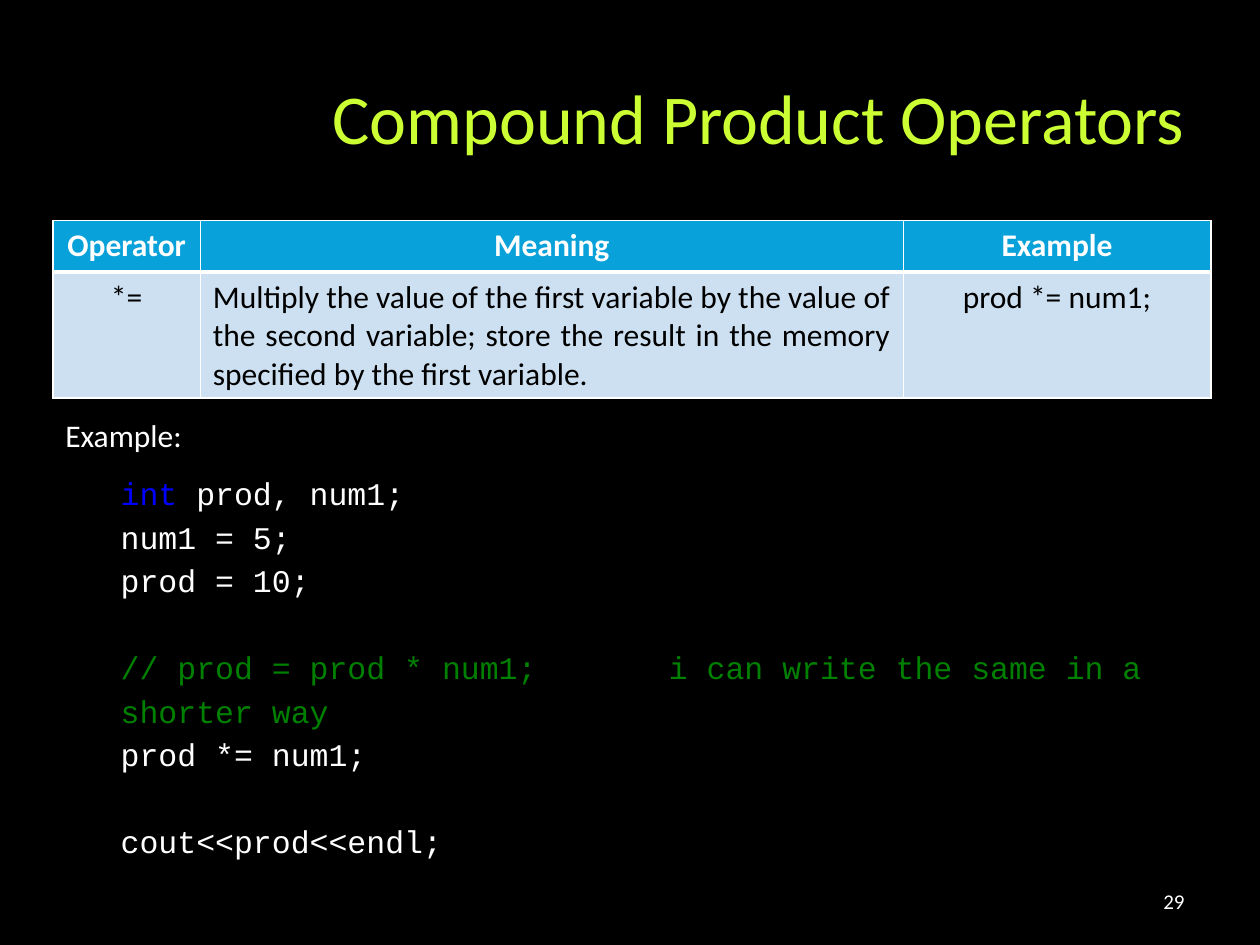
from pptx import Presentation
from pptx.dml.color import RGBColor
from pptx.enum.text import MSO_ANCHOR, PP_ALIGN
from pptx.oxml.ns import qn
from pptx.util import Inches, Pt
from lxml.etree import SubElement

COLORS = {
    "background": "000000", "title": "CCFF33", "white": "FFFFFF",
    "black": "000000", "header": "08A1D9", "row": "CCE0F1",
    "keyword": "0000FF", "comment": "008000",
}


class SlideBuilder:
    """Holds the style and the current slide."""

    body_font = "Calibri"
    code_font = "Courier New"

    def __init__(self, presentation):
        self.slide = presentation.slides.add_slide(presentation.slide_layouts[6])
        fill = self.slide.background.fill
        fill.solid()
        fill.fore_color.rgb = self.color("background")

    def color(self, name):
        return RGBColor.from_string(COLORS[name])

    def run(self, paragraph, text, color, **font_values):
        run = paragraph.add_run()
        run.text = text
        run.font.color.rgb = self.color(color)
        values = {"name": self.body_font, "size": Pt(18), **font_values}
        for name, value in values.items():
            setattr(run.font, name, value)

    def text_box(self, left, top, width, height, anchor=MSO_ANCHOR.TOP):
        shape = self.slide.shapes.add_textbox(
            Inches(left), Inches(top), Inches(width), Inches(height))
        frame = shape.text_frame
        frame.word_wrap = True
        frame.vertical_anchor = anchor
        return frame

    def label(self, text, box, color="white", size=18,
              align=PP_ALIGN.LEFT, anchor=MSO_ANCHOR.TOP):
        paragraph = self.text_box(*box, anchor=anchor).paragraphs[0]
        paragraph.alignment = align
        self.run(paragraph, text, color, size=Pt(size))

    def code(self, blocks, box):
        """Each block is a list of lines; each line is a list of (text, color)."""
        frame = self.text_box(*box)
        paragraph = frame.paragraphs[0]
        for block_index, block in enumerate(blocks):
            for line_index, line in enumerate(block):
                if block_index or line_index:
                    paragraph = frame.add_paragraph()
                if block_index and not line_index:
                    paragraph.space_before = Pt(24.8)
                paragraph.line_spacing = 1.15
                for text, color in line:
                    self.run(paragraph, text, color, name=self.code_font)

    def cell_borders(self, cell, widths):
        properties = cell._tc.get_or_add_tcPr()
        for position, (side, width) in enumerate(widths.items()):
            line = SubElement(properties, qn(f"a:ln{side}"), w=str(Pt(width)))
            fill = SubElement(line, qn("a:solidFill"))
            SubElement(fill, qn("a:srgbClr"), val=COLORS["white"])
            properties.remove(line)
            properties.insert(position, line)  # borders come before the fill

    def table(self, rows, left, top, column_widths, row_heights):
        table = self.slide.shapes.add_table(
            len(rows), len(column_widths), Inches(left), Inches(top),
            Inches(sum(column_widths)), Inches(sum(row_heights))).table
        for column, width in zip(table.columns, column_widths):
            column.width = Inches(width)
        for row, height in zip(table.rows, row_heights):
            row.height = Inches(height)

        for row_index, row in enumerate(rows):
            header = row_index == 0
            for column_index, (text, align) in enumerate(row):
                cell = table.cell(row_index, column_index)
                cell.fill.solid()
                cell.fill.fore_color.rgb = self.color("header" if header else "row")
                # A heavy rule separates the header from the body
                self.cell_borders(cell, {
                    "L": 1, "R": 1, "T": 1 if header else 3, "B": 3 if header else 1})
                paragraph = cell.text_frame.paragraphs[0]
                paragraph.alignment = align
                self.run(paragraph, text, "white" if header else "black", bold=header)


def main():
    presentation = Presentation()
    presentation.slide_width = Inches(10)
    presentation.slide_height = Inches(7.5)
    builder = SlideBuilder(presentation)

    # Title and slide number
    builder.label("Compound Product Operators", (0.5, 0.3, 9, 1.25), "title", 40,
                  PP_ALIGN.RIGHT, MSO_ANCHOR.MIDDLE)
    builder.label("29", (7.17, 6.95, 2.33, 0.4), size=12,
                  align=PP_ALIGN.RIGHT, anchor=MSO_ANCHOR.MIDDLE)

    # Operator table
    center, justify = PP_ALIGN.CENTER, PP_ALIGN.JUSTIFY
    builder.table([
        [("Operator", center), ("Meaning", center), ("Example", center)],
        [("*=", center),
         ("Multiply the value of the first variable by the value of the second "
          "variable; store the result in the memory specified by the first "
          "variable.", justify),
         ("prod *= num1;", center)],
    ], 0.42, 1.75, [1.17, 5.58, 2.44], [0.41, 1])

    # Code example
    builder.label("Example:", (0.42, 3.25, 1.5, 0.4))
    builder.code([
        [[("int ", "keyword"), ("prod, num1;", "white")],
         [("num1 = 5;", "white")],
         [("prod = 10;", "white")]],
        [[("// prod = prod * num1;       i can write the same in a shorter way",
           "comment")],
         [("prod *= num1;", "white")]],
        [[("cout<<prod<<endl;", "white")]],
    ], (0.86, 3.67, 9.37, 2.89))

    presentation.save("out.pptx")


if __name__ == "__main__":
    main()
